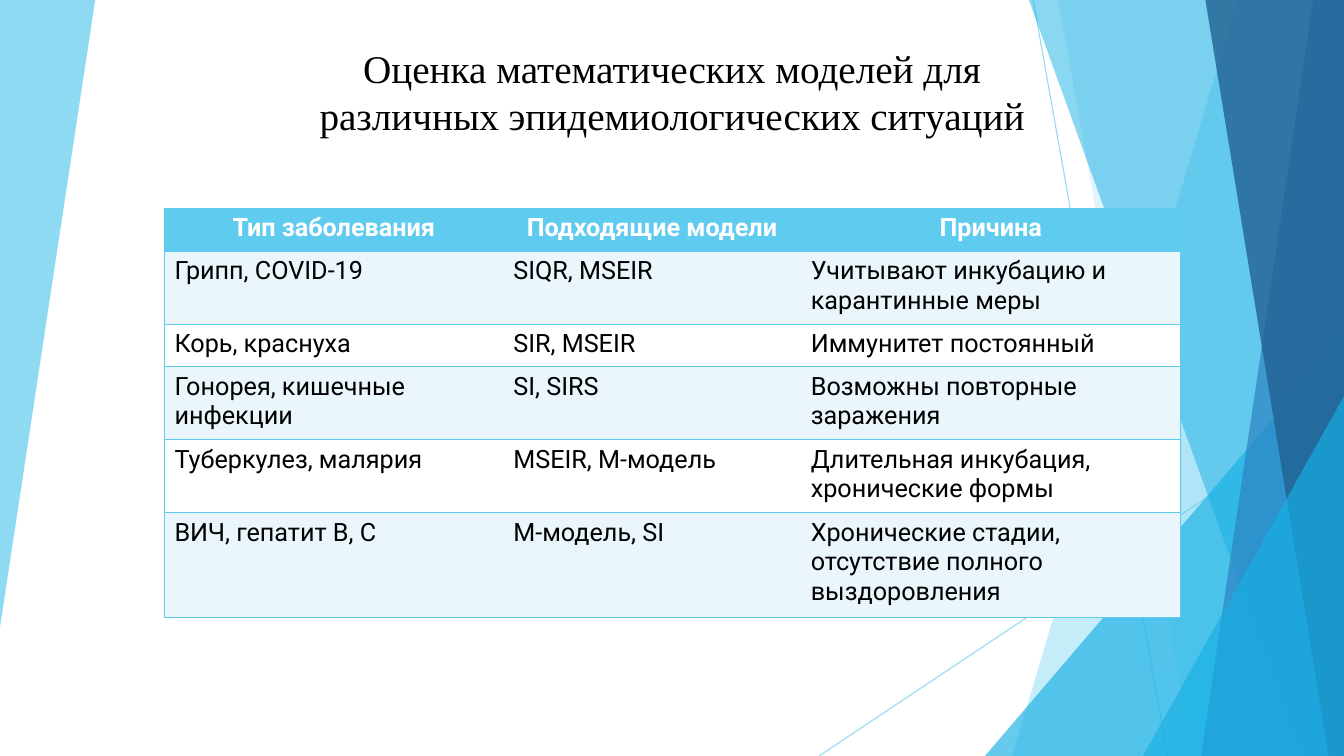
from lxml import etree
from pptx import Presentation
from pptx.dml.color import RGBColor
from pptx.enum.shapes import MSO_CONNECTOR, MSO_SHAPE
from pptx.enum.text import MSO_ANCHOR, MSO_AUTO_SIZE, PP_ALIGN
from pptx.oxml.ns import qn
from pptx.util import Pt

STRAIGHT = MSO_CONNECTOR.STRAIGHT
TRIANGLE = MSO_SHAPE.ISOSCELES_TRIANGLE
TOP = MSO_ANCHOR.TOP
GROW = MSO_AUTO_SIZE.SHAPE_TO_FIT_TEXT
CENTER, LEFT = PP_ALIGN.CENTER, PP_ALIGN.LEFT

# Content
TITLE = "Оценка математических моделей для различных эпидемиологических ситуаций"
ROWS = [
    ("Тип заболевания", "Подходящие модели", "Причина"),
    ("Грипп, COVID-19", "SIQR, MSEIR", "Учитывают инкубацию и карантинные меры"),
    ("Корь, краснуха", "SIR, MSEIR", "Иммунитет постоянный"),
    ("Гонорея, кишечные инфекции", "SI, SIRS", "Возможны повторные заражения"),
    ("Туберкулез, малярия", "MSEIR, M-модель", "Длительная инкубация, хронические формы"),
    ("ВИЧ, гепатит B, C", "M-модель, SI",
     "Хронические стадии, отсутствие полного выздоровления"),
]
COLORS = {
    "sky": "5FCBEF", "cyan": "17B0E4", "blue": "2E83C3", "navy": "226292",
    "band": "EAF6FC", "white": "FFFFFF", "black": "000000",
}

# Geometry in points
W, H = 960, 540
TITLE_BOX = (216, 28, 528, 75)
TABLE_AT = (117.5, 149)
COL_WIDTHS = (242, 212.5, 271.5)
ROW_HEIGHTS = (30.4, 52.2, 30.4, 52.2, 52.2, 74.7)

# Backdrop, back to front: colour, opacity in percent, shape
LEFT_WEDGE = ("sky", 70, [(0, 0), (68, 0), (0, 448)])
RAYS = [((738, 0), (834, H)), ((W, 290), (585, H))]


def right_band(top, bottom):
    return [(top, 0), (W, 0), (W, H), (bottom, H)]


# A list is an outline; a pair is the left and top of a corner triangle
RIGHT_FACETS = [
    ("sky", 36, right_band(884, 723)),
    ("sky", 20, right_band(756, 852)),
    ("cyan", 66, (703.5, 240)),
    ("cyan", 50, right_band(735, 930)),
    ("blue", 70, right_band(938, 858)),
    ("navy", 80, right_band(861, 949)),
    ("cyan", 66, (816.5, 283)),
]


def rgb(name):
    return RGBColor.from_string(COLORS[name])


def set_alpha(fill_parent, percent):
    clr = next(fill_parent.iter(qn("a:srgbClr")))
    etree.SubElement(clr, qn("a:alpha")).set("val", str(percent * 1000))


def add_facet(shapes, color, opacity, outline):
    if isinstance(outline, list):
        points = [(Pt(x), Pt(y)) for x, y in outline]
        builder = shapes.build_freeform(*points[0])
        builder.add_line_segments(points[1:], close=True)
        s = builder.convert_to_shape()
    else:
        x, y = outline
        s = shapes.add_shape(TRIANGLE, Pt(x), Pt(y), Pt(W - x), Pt(H - y))
        s.adjustments[0] = 1
    s.shadow.inherit = False
    s.fill.solid()
    s.fill.fore_color.rgb = rgb(color)
    set_alpha(s.fill._xPr, opacity)
    s.line.fill.background()


def add_ray(shapes, start, end):
    s = shapes.add_connector(STRAIGHT, *(Pt(v) for v in start + end))
    s.line.width = Pt(0.75)
    s.line.color.rgb = rgb("sky")
    sp_pr = s._element.spPr
    set_alpha(sp_pr, 70)
    etree.SubElement(sp_pr, qn("a:effectLst"))


def add_border(cell, side):
    ln = etree.SubElement(cell._tc.get_or_add_tcPr(), qn("a:ln" + side))
    ln.set("w", str(Pt(1)))
    fill = etree.SubElement(ln, qn("a:solidFill"))
    etree.SubElement(fill, qn("a:srgbClr")).set("val", COLORS["sky"])


def add_text(tf, text, font, size, color, align, bold=False):
    p = tf.paragraphs[0]
    p.alignment = align
    r = p.add_run()
    r.text = text
    r.font.name = font
    r.font.size = Pt(size)
    r.font.bold = bold
    r.font.color.rgb = rgb(color)


def add_models_table(shapes):
    x, y = TABLE_AT
    table = shapes.add_table(len(ROWS), len(COL_WIDTHS), Pt(x), Pt(y),
                             Pt(sum(COL_WIDTHS)), Pt(sum(ROW_HEIGHTS))).table
    # Plain style without grid
    table.first_row = table.horz_banding = False
    style = table._tbl.tblPr.find(qn("a:tableStyleId"))
    style.text = "{2D5ABB26-0587-4C30-8999-92F81FD0307C}"
    for col, width in zip(table.columns, COL_WIDTHS):
        col.width = Pt(width)
    for row, height in zip(table.rows, ROW_HEIGHTS):
        row.height = Pt(height)

    last = len(COL_WIDTHS) - 1
    for i, row in enumerate(ROWS):
        header = i == 0
        fill = "sky" if header else "band" if i % 2 else "white"
        for j, text in enumerate(row):
            cell = table.cell(i, j)
            sides = ("L" if j == 0 else "") + ("R" if j == last else "") + "TB"
            for side in sides:
                add_border(cell, side)
            cell.fill.solid()
            cell.fill.fore_color.rgb = rgb(fill)
            add_text(cell.text_frame, text, "Roboto", 18,
                     "white" if header else "black",
                     CENTER if header else LEFT, header)


def main():
    prs = Presentation()
    prs.slide_width, prs.slide_height = Pt(W), Pt(H)
    slide = prs.slides.add_slide(prs.slide_layouts[5])
    shapes = slide.shapes

    # Backdrop
    add_facet(shapes, *LEFT_WEDGE)
    for start, end in RAYS:
        add_ray(shapes, start, end)
    for facet in RIGHT_FACETS:
        add_facet(shapes, *facet)

    # Title
    title = shapes.title
    title.left, title.top, title.width, title.height = (Pt(v) for v in TITLE_BOX)
    tf = title.text_frame
    tf.word_wrap = True
    tf.auto_size = GROW
    tf.vertical_anchor = TOP
    add_text(tf, TITLE, "Times New Roman", 28, "black", CENTER)

    # Table
    add_models_table(shapes)
    prs.save("out.pptx")


if __name__ == "__main__":
    main()
